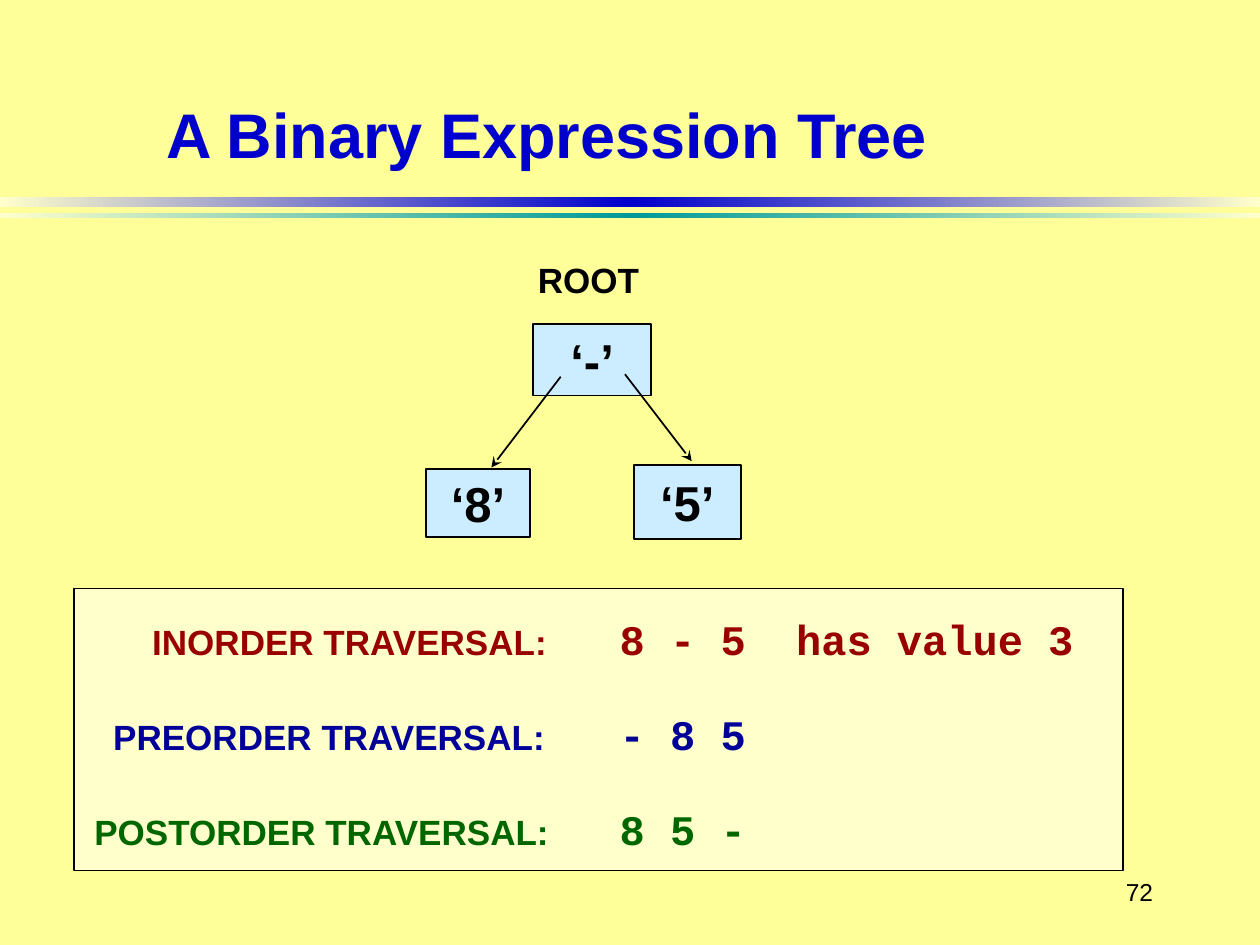
from copy import deepcopy
from dataclasses import dataclass

from lxml.etree import SubElement
from pptx import Presentation
from pptx.dml.color import RGBColor
from pptx.enum.shapes import MSO_CONNECTOR, MSO_SHAPE
from pptx.enum.text import MSO_ANCHOR, PP_ALIGN
from pptx.oxml.ns import qn
from pptx.util import Inches, Pt


@dataclass(frozen=True)
class Theme:
    background: str = "FFFF99"
    title: str = "0000CC"
    ink: str = "000000"
    node: str = "CCECFF"
    panel: str = "FFFFCC"
    teal: str = "009999"
    inorder: str = "990000"
    preorder: str = "000099"
    postorder: str = "006600"
    sans: str = "Arial"
    mono: str = "Courier New"
    title_size: int = 36
    node_size: int = 28
    value_size: int = 24
    label_size: int = 20
    number_size: int = 14


theme = Theme()


def style(run, size, color, name=theme.sans, bold=True):
    run.font.name = name
    run.font.size = Pt(size)
    run.font.bold = bold
    run.font.color.rgb = RGBColor.from_string(color)


def add_box(left, top, width, height, color):
    box = slide.shapes.add_shape(
        MSO_SHAPE.RECTANGLE, Inches(left), Inches(top), Inches(width), Inches(height)
    )
    box.shadow.inherit = False
    box.fill.solid()
    box.fill.fore_color.rgb = RGBColor.from_string(color)
    box.line.color.rgb = RGBColor.from_string(theme.ink)
    box.line.width = Pt(1)
    return box


prs = Presentation()
prs.slide_width = Inches(10)
prs.slide_height = Inches(7.5)
slide = prs.slides.add_slide(prs.slide_layouts[5])
slide.background.fill.solid()
slide.background.fill.fore_color.rgb = RGBColor.from_string(theme.background)

for top, height, color in [(1.56, 0.08, theme.title), (1.69, 0.04, theme.teal)]:
    band = add_box(0, top, 10, height, color)
    band.line.fill.background()
    band.fill.gradient()
    band.fill.gradient_angle = 0
    stop_list = band.fill._fill._gradFill.find(qn("a:gsLst"))
    stop_list.append(deepcopy(stop_list[0]))
    stops = zip(band.fill.gradient_stops, (0, 0.5, 1), (theme.panel, color, theme.panel))
    for stop, position, shade in stops:
        stop.position = position
        stop.color.rgb = RGBColor.from_string(shade)

title = slide.shapes.title
title.left, title.top = Inches(0.67), Inches(0.58)
title.width, title.height = Inches(8.42), Inches(0.83)
title.text_frame.text = "A Binary Expression Tree"
title.text_frame.vertical_anchor = MSO_ANCHOR.BOTTOM
title.text_frame.margin_right = Inches(1.18)
title.text_frame.paragraphs[0].alignment = PP_ALIGN.CENTER
style(title.text_frame.paragraphs[0].runs[0], theme.title_size, theme.title)

add_box(0.59, 4.67, 8.32, 2.24, theme.panel)

nodes = [
    ("‘-’", 4.23, 2.57, 0.94, 0.57),
    ("‘8’", 3.38, 3.72, 0.83, 0.54),
    ("‘5’", 5.03, 3.69, 0.85, 0.59),
]
for symbol, left, top, width, height in nodes:
    node = add_box(left, top, width, height, theme.node)
    node.text_frame.text = symbol
    node.text_frame.vertical_anchor = MSO_ANCHOR.MIDDLE
    node.text_frame.paragraphs[0].alignment = PP_ALIGN.CENTER
    style(node.text_frame.paragraphs[0].runs[0], theme.node_size, theme.ink)

for start_x, start_y, end_x, end_y in [(4.45, 2.99, 3.9, 3.71), (4.96, 2.97, 5.49, 3.66)]:
    branch = slide.shapes.add_connector(
        MSO_CONNECTOR.STRAIGHT, Inches(start_x), Inches(start_y), Inches(end_x), Inches(end_y)
    )
    branch.line.color.rgb = RGBColor.from_string(theme.ink)
    branch.line.width = Pt(1)
    SubElement(branch.line._get_or_add_ln(), qn("a:tailEnd"), type="stealth")
    SubElement(branch._element.spPr, qn("a:effectLst"))

captions = [
    ("ROOT", 4.17, 2, 1.01, 0.43, theme.label_size, True, PP_ALIGN.LEFT),
    ("72", 8.58, 6.83, 0.67, 0.5, theme.number_size, False, PP_ALIGN.RIGHT),
]
for text, left, top, width, height, size, bold, alignment in captions:
    caption = slide.shapes.add_textbox(Inches(left), Inches(top), Inches(width), Inches(height))
    caption.text_frame.word_wrap = True
    caption.text_frame.text = text
    caption.text_frame.vertical_anchor = MSO_ANCHOR.MIDDLE
    caption.text_frame.paragraphs[0].alignment = alignment
    style(caption.text_frame.paragraphs[0].runs[0], size, theme.ink, bold=bold)

traversals = [
    ("\tINORDER TRAVERSAL:", "\t8 - 5\thas value 3", theme.inorder, (0.46, 4.17, 5.57)),
    ("\tPREORDER TRAVERSAL:", "\t- 8 5", theme.preorder, (0.15, 4.17)),
    ("POSTORDER TRAVERSAL:", "\t8 5 -", theme.postorder, (4.17,)),
]
orders = slide.shapes.add_textbox(Inches(0.65), Inches(4.82), Inches(8.27), Inches(2.09))
orders.text_frame.word_wrap = True
for index, (label, value, color, tabs) in enumerate(traversals):
    order = orders.text_frame.paragraphs[0] if index == 0 else orders.text_frame.add_paragraph()
    tab_list = SubElement(order._p.get_or_add_pPr(), qn("a:tabLst"))
    for position in tabs:
        SubElement(tab_list, qn("a:tab"), pos=str(Inches(position)), algn="l")
    if index:
        order.space_before = Pt(25.4)
    for text, size, name in [
        (label, theme.label_size, theme.sans),
        (value, theme.value_size, theme.mono),
    ]:
        run = order.add_run()
        run.text = text
        style(run, size, color, name)

prs.save("out.pptx")
